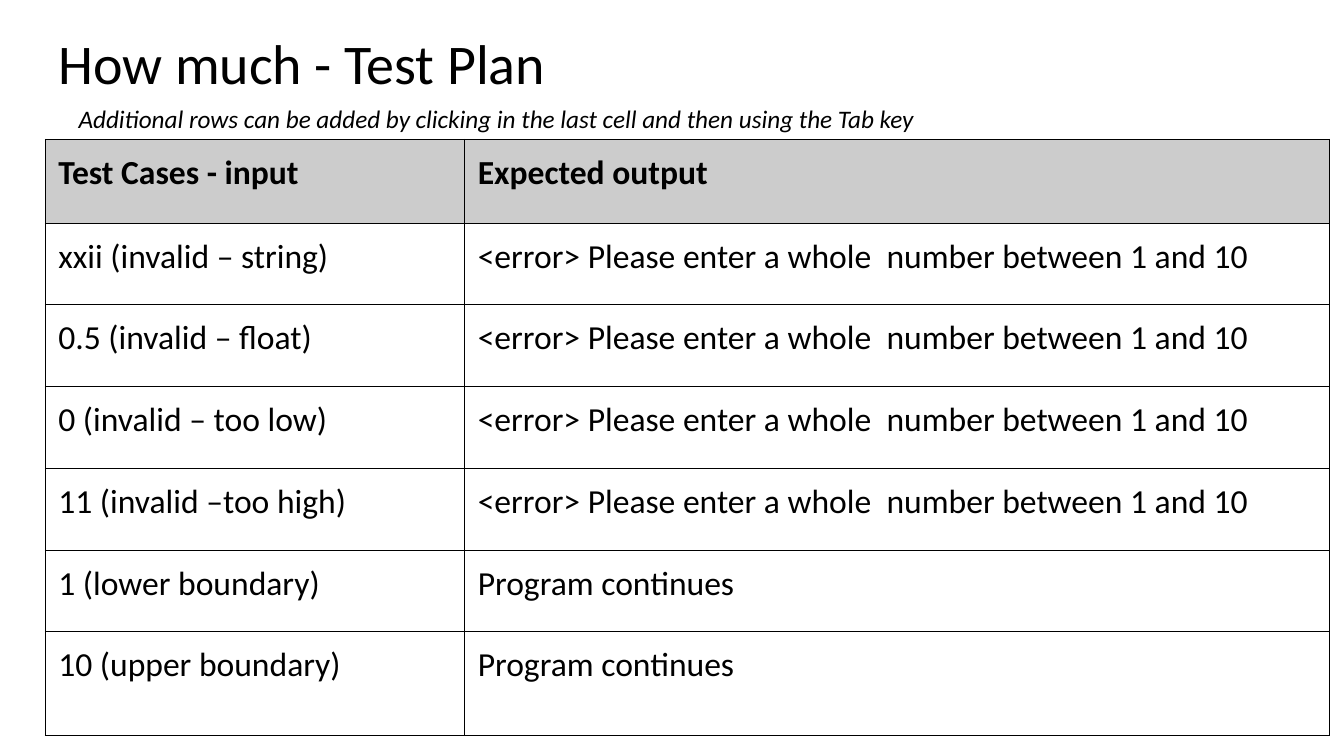
from lxml import etree
from pptx import Presentation, util as u
from pptx.dml.color import RGBColor
from pptx.enum import text
from pptx.oxml import ns

BLACK = RGBColor(0x00, 0x00, 0x00)
HEADER_GREY = RGBColor(0xCC, 0xCC, 0xCC)
FONT = "Calibri"
INSET = u.Cm(0.33)
ERROR = "<error> Please enter a whole  number between 1 and 10"
CONTINUES = "Program continues"
TEST_CASES = [
    ("Test Cases - input", "Expected output"),
    ("xxii (invalid – string)", ERROR),
    ("0.5 (invalid – float)", ERROR),
    ("0 (invalid – too low)", ERROR),
    ("11 (invalid –too high)", ERROR),
    ("1 (lower boundary)", CONTINUES),
    ("10 (upper boundary)", CONTINUES),
]
COL_WIDTHS = [10.57, 21.79]
ROW_HEIGHTS = [2.11] + [2.06] * 5 + [2.62]


def set_font(p, size, bold=False, italic=False):
    f = p.font
    f.name, f.size, f.bold, f.italic = FONT, u.Pt(size), bold, italic
    f.color.rgb = BLACK


def add_text(s, box, words, size, italic=False):
    tf = s.shapes.add_textbox(*map(u.Cm, box)).text_frame
    tf.word_wrap = True
    p = tf.paragraphs[0]
    p.text = words
    set_font(p, size, italic=italic)
    return tf


def add_title(s, box, words):
    tf = add_text(s, box, words, 40)
    tf.margin_left = tf.margin_right = tf.margin_top = tf.margin_bottom = INSET
    tf.vertical_anchor = text.MSO_ANCHOR.MIDDLE
    tf.paragraphs[0].line_spacing = 0.9


def add_hint(s, box, words):
    tf = add_text(s, box, words, 18, italic=True)
    tf.auto_size = text.MSO_AUTO_SIZE.SHAPE_TO_FIT_TEXT


def add_borders(cell):
    tcPr = cell._tc.get_or_add_tcPr()
    for side in ("lnL", "lnR", "lnT", "lnB"):
        ln = etree.SubElement(tcPr, ns.qn(f"a:{side}"), w=str(u.Pt(0.75)))
        fill = etree.SubElement(ln, ns.qn("a:solidFill"))
        etree.SubElement(fill, ns.qn("a:srgbClr"), val=str(BLACK))


def fill_cell(cell, words, header):
    cell.margin_left = cell.margin_right = INSET
    cell.margin_top = cell.margin_bottom = INSET
    add_borders(cell)
    if header:
        cell.fill.solid()
        cell.fill.fore_color.rgb = HEADER_GREY
    else:
        cell.fill.background()
    p = cell.text_frame.paragraphs[0]
    p.text = words
    set_font(p, 24, bold=header)


def add_test_table(s, left, top):
    size = (sum(COL_WIDTHS), sum(ROW_HEIGHTS))
    table = s.shapes.add_table(len(TEST_CASES), len(COL_WIDTHS),
                               *map(u.Cm, (left, top, *size))).table
    table.horz_banding = False
    for col, width in zip(table.columns, COL_WIDTHS):
        col.width = u.Cm(width)
    for i, (row, height, case) in enumerate(zip(table.rows, ROW_HEIGHTS, TEST_CASES)):
        row.height = u.Cm(height)
        for cell, words in zip(row.cells, case):
            fill_cell(cell, words, header=i == 0)


def main():
    prs = Presentation()
    prs.slide_width, prs.slide_height = u.Cm(33.87), u.Cm(19.05)
    s = prs.slides.add_slide(prs.slide_layouts[6])
    add_title(s, (1.14, 0.61, 31.55, 2.13), "How much - Test Plan")
    add_test_table(s, 1.14, 3.51)
    add_hint(s, (1.73, 2.49, 27.79, 1.02),
             "Additional rows can be added by clicking in the last cell and then using the Tab key")
    prs.save("out.pptx")


if __name__ == "__main__":
    main()
